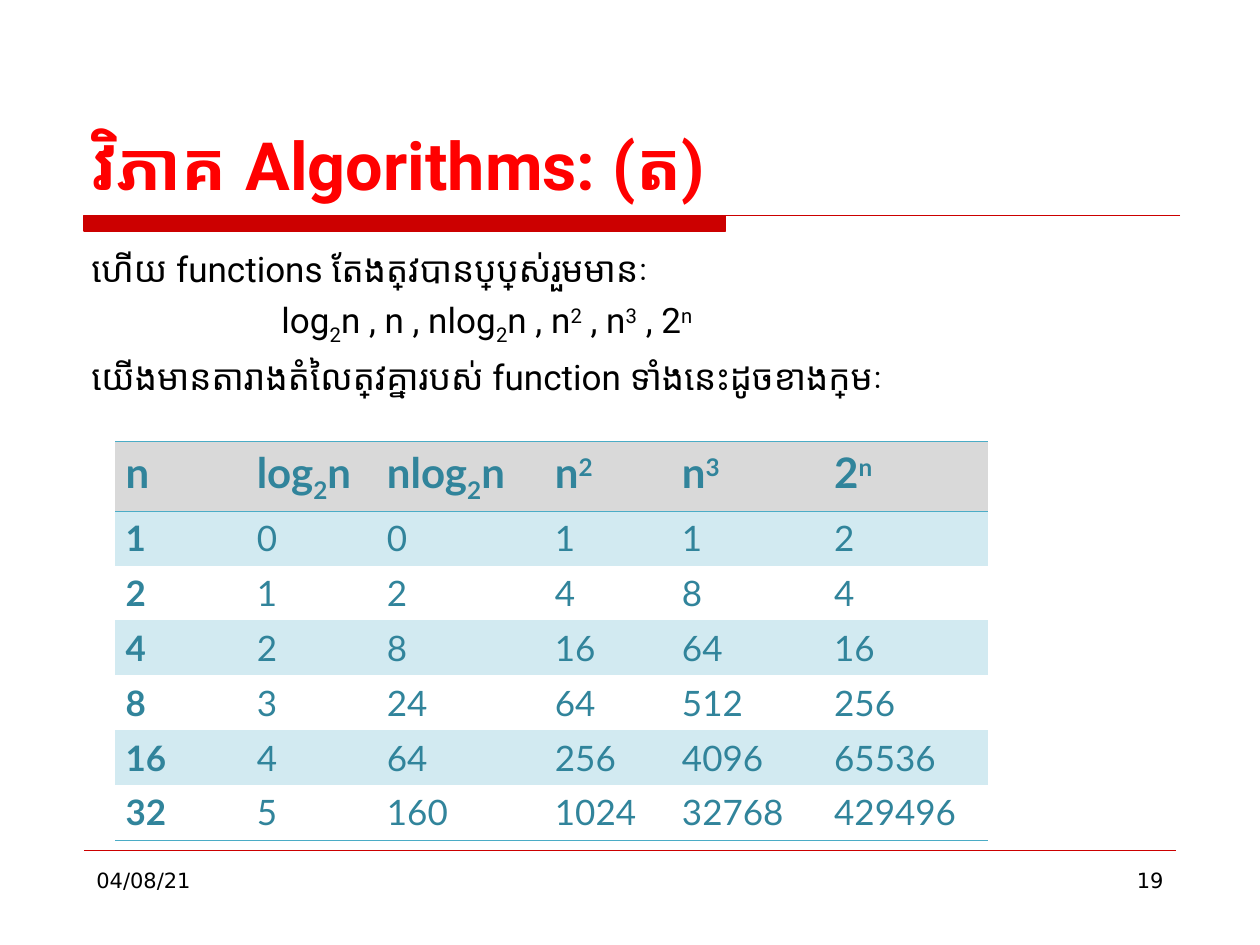
import pptx
import pptx.util
import pptx.dml.color
import pptx.enum.text
import pptx.enum.shapes
import pptx.oxml
import pptx.oxml.ns
from lxml import etree

INK = {"red": "FF0000", "rule": "CC0000", "text": "000000", "teal": "31849B",
       "edge": "4BACC6", "head": "D9D9D9", "band": "D2EAF1"}
BASE = {"_": "-25000", "^": "30000"}
PLAIN = "{2D5ABB26-0587-4C30-8999-92F81FD0307C}"  # table style without grid
ALIGN = pptx.enum.text.PP_ALIGN
ANCHOR = pptx.enum.text.MSO_ANCHOR


def unit(num):
    """Grid units to EMU: the slide is 120 columns by 90 rows."""
    return pptx.util.Inches(num / 12)


def tone(name):
    return pptx.dml.color.RGBColor.from_string(INK[name])


def tag(name):
    return pptx.oxml.ns.qn(name)


class Deck:
    def __init__(self):
        self.file = pptx.Presentation()
        self.file.slide_width, self.file.slide_height = unit(120), unit(90)
        self.slide = self.file.slides.add_slide(self.file.slide_layouts[1])

    def runs(self, para, text, font, size, color, bold=False):
        """Add runs parted by |; a leading _ lowers a run, ^ raises it."""
        for part in text.split("|"):
            run = para.add_run()
            base = BASE.get(part[0])
            run.text = part[1:] if base else part
            run.font.name, run.font.size = font, pptx.util.Pt(size)
            run.font.bold = bold
            run.font.color.rgb = tone(color)
            if base:
                run.font._element.set("baseline", base)

    def place(self, shape, box, anchor=ANCHOR.TOP):
        shape.left, shape.top, shape.width, shape.height = map(unit, box)
        frame = shape.text_frame
        frame.word_wrap = True
        frame.auto_size = pptx.enum.text.MSO_AUTO_SIZE.NONE
        frame.vertical_anchor = anchor
        return frame

    def title(self, text, box):
        frame = self.place(self.slide.shapes.title, box, ANCHOR.BOTTOM)
        para = frame.paragraphs[0]
        para.alignment = ALIGN.LEFT
        self.runs(para, text, "Roboto", 38, "red", True)

    def body(self, lines, box):
        frame = self.place(self.slide.placeholders[1], box)
        for num, (text, left) in enumerate(lines):
            para = frame.add_paragraph() if num else frame.paragraphs[0]
            props = para._p.get_or_add_pPr()
            props.set("marL", str(unit(left)))
            props.set("indent", "0")
            etree.SubElement(props, tag("a:buNone"))
            para.space_before = pptx.util.Pt(5 if num else 0)
            self.runs(para, text, "Roboto", 20, "text")

    def note(self, text, box, align):
        shape = self.slide.shapes.add_textbox(0, 0, 0, 0)
        para = self.place(shape, box).paragraphs[0]
        para.alignment = align
        self.runs(para, text, "DejaVu Sans", 12, "text")

    def bar(self, left, top, mid, right, low):
        """A thick bar with a thin rule running on from its top edge."""
        draw = self.slide.shapes.build_freeform(unit(left), unit(top))
        draw.add_line_segments([(unit(x), unit(y)) for x, y in
                                ((mid, top), (mid, low), (left, low))])
        draw.move_to(unit(left), unit(top))
        draw.add_line_segments([(unit(right), unit(top))], close=False)
        shape = draw.convert_to_shape()
        shape.shadow.inherit = False
        shape.fill.solid()
        shape.fill.fore_color.rgb = shape.line.color.rgb = tone("rule")
        shape.line.width = pptx.util.Pt(0.75)

    def rule(self, left, right, top):
        line = self.slide.shapes.add_connector(
            pptx.enum.shapes.MSO_CONNECTOR.STRAIGHT,
            unit(left), unit(top), unit(right), unit(top))
        line.line.color.rgb = tone("rule")
        line.line.width = pptx.util.Pt(0.25)
        etree.SubElement(line._element.spPr, tag("a:effectLst"))

    def edge(self, cell, side):
        props = cell._tc.get_or_add_tcPr()
        line = etree.SubElement(props, tag("a:" + side), w="3175")
        fill = etree.SubElement(line, tag("a:solidFill"))
        etree.SubElement(fill, tag("a:srgbClr"), val=INK["edge"])

    def table(self, rows, left, top, cols, high, low):
        tall = [high] + [low] * (len(rows) - 1)
        grid = self.slide.shapes.add_table(
            len(rows), len(cols), unit(left), unit(top),
            unit(sum(cols)), unit(sum(tall))).table
        grid._tbl.tblPr.find(tag("a:tableStyleId")).text = PLAIN
        for col, width in zip(grid.columns, cols):
            col.width = unit(width)
        for r, (row, height) in enumerate(zip(rows, tall)):
            grid.rows[r].height = unit(height)
            for c, text in enumerate(row):
                cell = grid.cell(r, c)
                cell.margin_left = cell.margin_right = unit(0.96)
                if r == 0:
                    self.edge(cell, "lnT")
                if r in (0, len(rows) - 1):
                    self.edge(cell, "lnB")
                if r and r % 2 == 0:
                    cell.fill.background()
                else:
                    cell.fill.solid()
                    cell.fill.fore_color.rgb = tone("band" if r else "head")
                self.runs(cell.text_frame.paragraphs[0], str(text), "Lato",
                          20 if r else 24, "teal", r == 0 or c == 0)


def main():
    deck = Deck()

    # Rules
    deck.bar(8, 20.5, 69.1, 112.4, 22)
    deck.rule(8, 112, 81)

    # Title and text
    deck.title("វិភាគ Algorithms: (ត)", (7.5, 4, 105, 16))
    deck.body([
        ("ហើយ functions តែងត្រូវបានប្រើប្រាស់រួមមានៈ", 0),
        ("log|_2|n , n , nlog|_2|n , n|^2| , n|^3| , 2|^n", 18.1),
        ("យើងមានតារាងតំលៃត្រូវគ្នារបស់ function ទាំងនេះដូចខាងក្រោមៈ", 0),
    ], (7.5, 23, 105, 56))

    # Growth table
    deck.table([
        ("n", "log|_2|n", "nlog|_2|n", "n|^2", "n|^3", "2|^n"),
        (1, 0, 0, 1, 1, 2),
        (2, 1, 2, 4, 8, 4),
        (4, 2, 8, 16, 64, 16),
        (8, 3, 24, 64, 512, 256),
        (16, 4, 64, 256, 4096, 65536),
        (32, 5, 160, 1024, 32768, 429496),
    ], 11, 42, (12.5, 12.4, 16, 12.1, 14.5, 15.6), 6.4, 5)

    # Date and page number
    deck.note("04/08/21", (8, 82, 26, 6.25), ALIGN.LEFT)
    deck.note("19", (86, 82, 26, 6.25), ALIGN.RIGHT)

    deck.file.save("out.pptx")


if __name__ == "__main__":
    main()
